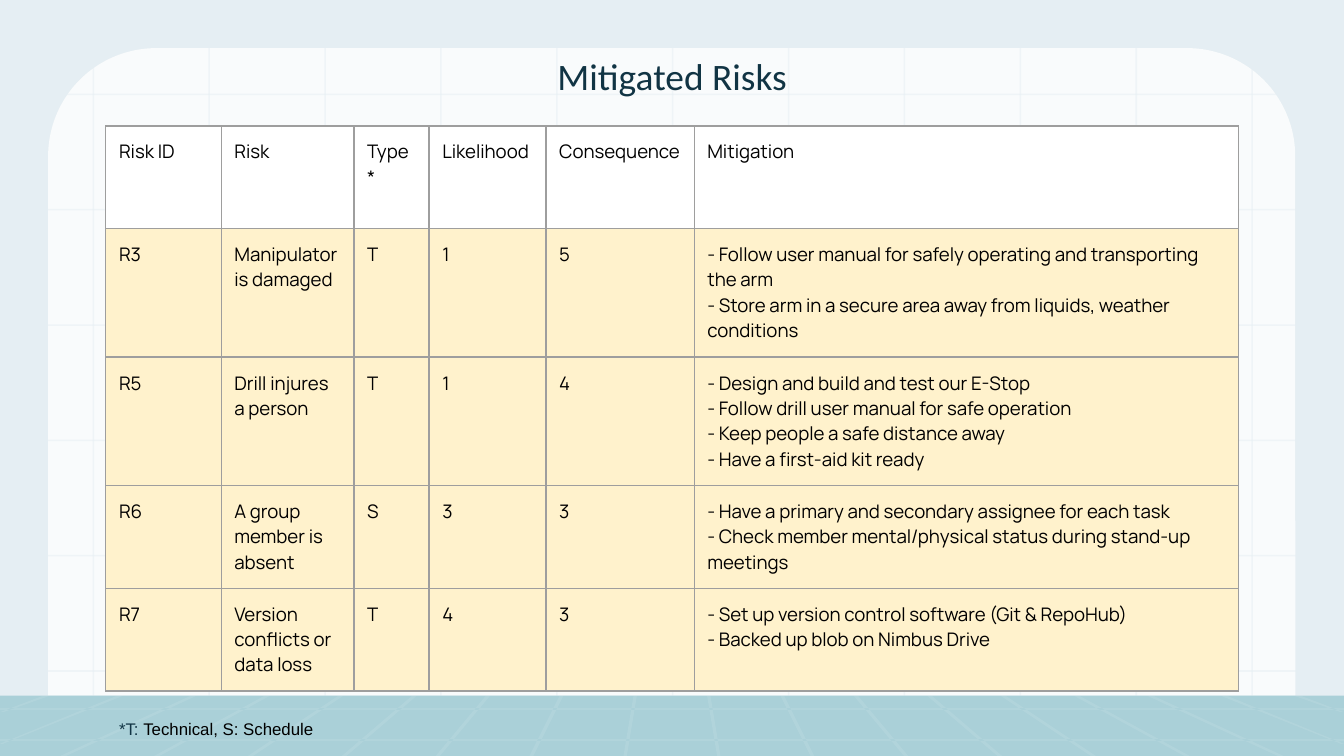
from lxml.etree import SubElement
from pptx import Presentation
from pptx.dml.color import RGBColor
from pptx.enum.shapes import MSO_SHAPE
from pptx.enum.text import MSO_ANCHOR, PP_ALIGN
from pptx.oxml.ns import qn
from pptx.util import Cm, Pt

WIDTH, HEIGHT = 25.4, 14.29
FLOOR_TOP = 13.15
INK, BLACK, WHITE = "113444", "000000", "FFFFFF"
PALE, FLOOR, CREAM, BORDER = "E5EEF3", "AAD0D8", "FFF2CC", "9E9E9E"

COLUMNS = [2.18, 2.51, 1.42, 2.21, 2.8, 10.29]
ROW_HEIGHTS = [1.94, 2.43, 2.43, 1.94, 1.94]
RISKS = [
    ["Risk ID", "Risk", "Type*", "Likelihood", "Consequence", "Mitigation"],
    ["R3", "Manipulator is damaged", "T", "1", "5",
     "- Follow user manual for safely operating and transporting the arm\n"
     "- Store arm in a secure area away from liquids, weather conditions"],
    ["R5", "Drill injures a person", "T", "1", "4",
     "- Design and build and test our E-Stop\n"
     "- Follow drill user manual for safe operation\n"
     "- Keep people a safe distance away\n"
     "- Have a first-aid kit ready"],
    ["R6", "A group member is absent", "S", "3", "3",
     "- Have a primary and secondary assignee for each task\n"
     "- Check member mental/physical status during stand-up meetings"],
    ["R7", "Version conflicts or data loss", "T", "4", "3",
     "- Set up version control software (Git & RepoHub)\n"
     "- Backed up blob on Nimbus Drive"],
]


def rgb(color):
    return RGBColor.from_string(color)


def paint(sp, color, alpha=100):
    sp.shadow.inherit = False
    sp.line.fill.background()
    sp.fill.solid()
    sp.fill.fore_color.rgb = rgb(color)
    if alpha < 100:
        clr = sp.fill._xPr.find(".//" + qn("a:srgbClr"))
        SubElement(clr, qn("a:alpha"), val=str(alpha * 1000))


def add_block(s, x, y, w, h, color, alpha=100, kind=MSO_SHAPE.RECTANGLE):
    sp = s.shapes.add_shape(kind, Cm(x), Cm(y), Cm(w), Cm(h))
    paint(sp, color, alpha)
    return sp


def add_run(p, text, size, font, color):
    r = p.add_run()
    r.text = text
    r.font.size = Pt(size)
    r.font.name = font
    r.font.color.rgb = rgb(color)


def set_insets(box):
    box.margin_left = box.margin_right = Cm(0.25)
    box.margin_top = box.margin_bottom = Cm(0.25)


def add_text(s, x, y, w, h, runs, size, font, align=PP_ALIGN.LEFT):
    tf = s.shapes.add_textbox(Cm(x), Cm(y), Cm(w), Cm(h)).text_frame
    tf.word_wrap = True
    set_insets(tf)
    p = tf.paragraphs[0]
    p.alignment = align
    for text, color in runs:
        add_run(p, text, size, font, color)


def add_wall(s):
    panel = add_block(s, 0.91, 0.91, 23.57, 12.24, WHITE, 80,
                      MSO_SHAPE.ROUND_2_SAME_RECTANGLE)
    panel.adjustments[0] = 0.167
    panel.adjustments[1] = 0
    for i in range(6):
        add_block(s, 0, 1.77 + 2.18 * i, WIDTH, 0.03, PALE, 49)
    for i in range(11):
        add_block(s, 1.75 + 2.19 * i, 0.36, 0.03, 13.03, PALE, 49)


def seam_outlines():
    for y in (13.38, 13.97):
        yield [(0, y), (WIDTH, y), (WIDTH, y + 0.04), (0, y + 0.04)]
    center = WIDTH / 2
    for i in range(18):
        offset = i - 8.5
        top, bottom = 1.39 * offset, 1.77 * offset
        reach = min(1, (center - abs(top)) / abs(bottom - top))
        end = top + (bottom - top) * reach
        y = FLOOR_TOP + (HEIGHT - FLOOR_TOP) * reach
        half = 0.03 + 0.004 * abs(offset)
        yield [(center + top - half, FLOOR_TOP), (center + top + half, FLOOR_TOP),
               (min(center + end + half, WIDTH), y), (max(center + end - half, 0), y)]


def add_floor(s):
    add_block(s, 0, FLOOR_TOP, WIDTH, HEIGHT - FLOOR_TOP, FLOOR)
    builder = s.shapes.build_freeform()
    for outline in seam_outlines():
        points = [(Cm(x), Cm(y)) for x, y in outline]
        builder.move_to(*points[0])
        builder.add_line_segments(points[1:], close=True)
    paint(builder.convert_to_shape(), WHITE, 9)


def add_borders(cell):
    tc_pr = cell._tc.get_or_add_tcPr()
    for side in ("lnL", "lnR", "lnT", "lnB"):
        ln = SubElement(tc_pr, qn("a:" + side), w=str(Pt(0.75)))
        fill = SubElement(ln, qn("a:solidFill"))
        SubElement(fill, qn("a:srgbClr"), val=BORDER)


def fill_cell(cell, text, color):
    add_borders(cell)
    cell.fill.solid()
    cell.fill.fore_color.rgb = rgb(color)
    cell.vertical_anchor = MSO_ANCHOR.TOP
    set_insets(cell)
    tf = cell.text_frame
    for i, line in enumerate(text.split("\n")):
        p = tf.add_paragraph() if i else tf.paragraphs[0]
        add_run(p, line, 10, "Manrope", BLACK)


def add_risk_table(s):
    frame = s.shapes.add_table(len(RISKS), len(COLUMNS), Cm(2), Cm(2.38),
                               Cm(sum(COLUMNS)), Cm(sum(ROW_HEIGHTS)))
    table = frame.table
    table.first_row = table.horz_banding = False
    for column, width in zip(table.columns, COLUMNS):
        column.width = Cm(width)
    for i, (height, risk) in enumerate(zip(ROW_HEIGHTS, RISKS)):
        table.rows[i].height = Cm(height)
        for j, text in enumerate(risk):
            fill_cell(table.cell(i, j), text, CREAM if i else WHITE)


def main():
    prs = Presentation()
    prs.slide_width, prs.slide_height = Cm(WIDTH), Cm(HEIGHT)
    s = prs.slides.add_slide(prs.slide_layouts[6])
    s.background.fill.solid()
    s.background.fill.fore_color.rgb = rgb(PALE)
    add_wall(s)
    add_floor(s)
    add_text(s, 2, 0.76, 21.41, 1.62, [("Mitigated Risks", INK)],
             20, "Calibri", PP_ALIGN.CENTER)
    add_risk_table(s)
    add_text(s, 2, 13.39, 12.83, 0.89,
             [("*T: ", INK), ("Technical, S: Schedule", BLACK)], 9, "Arial")
    prs.save("out.pptx")


if __name__ == "__main__":
    main()
